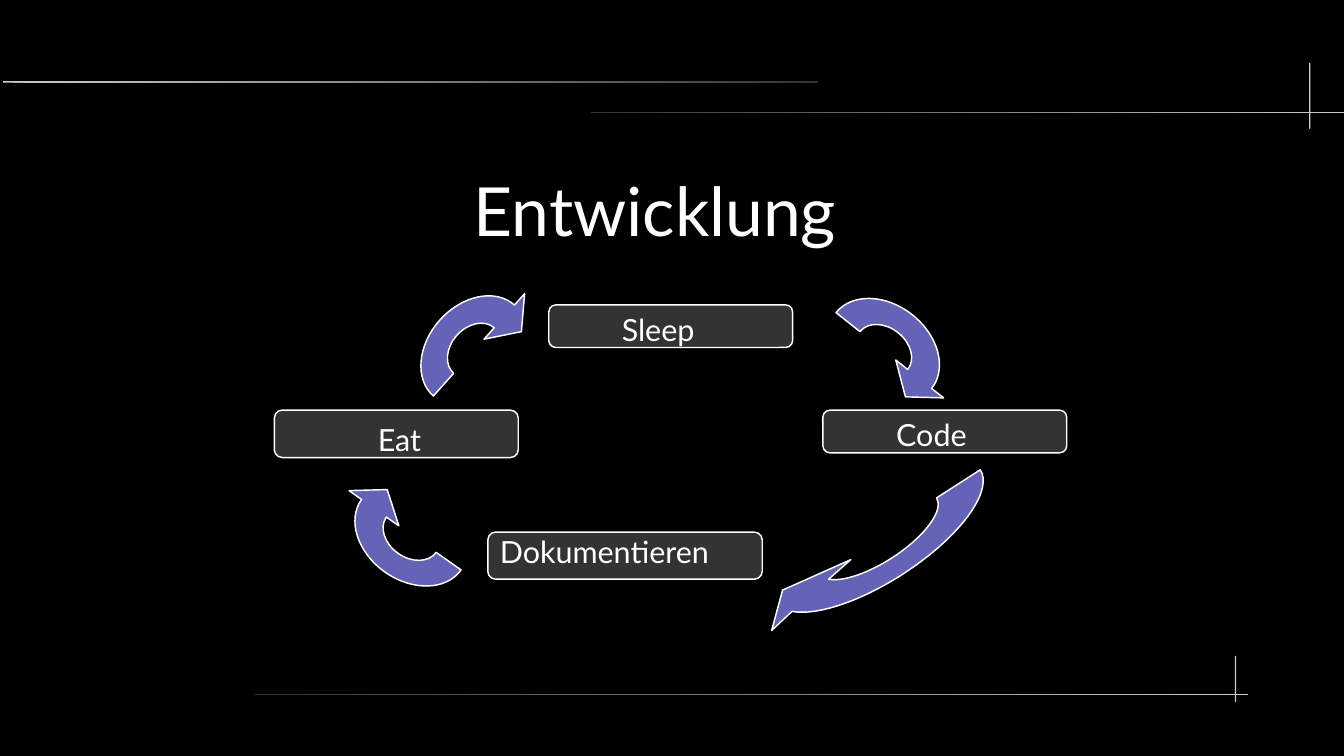
from math import cos, radians, sin

from lxml import etree
from pptx import Presentation
from pptx.dml.color import RGBColor
from pptx.enum.shapes import MSO_SHAPE
from pptx.enum.text import MSO_ANCHOR, MSO_AUTO_SIZE, PP_ALIGN
from pptx.oxml.ns import qn
from pptx.util import Pt

ROUNDED = MSO_SHAPE.ROUNDED_RECTANGLE
MIDDLE = MSO_ANCHOR.MIDDLE
GROW = MSO_AUTO_SIZE.SHAPE_TO_FIT_TEXT
CENTER, LEFT = PP_ALIGN.CENTER, PP_ALIGN.LEFT

BLACK = RGBColor(0x00, 0x00, 0x00)
WHITE = RGBColor(0xFF, 0xFF, 0xFF)
DARK = RGBColor(0x33, 0x33, 0x33)
LIGHT = RGBColor(0xCC, 0xCC, 0xCC)
VIOLET = RGBColor(0x65, 0x63, 0xB7)

FONT = "Lato"
WIDTH, HEIGHT = 793.44, 446.4
CURVE_STARTS = (0, 3, 7, 10)

RULES = [
    (1.5, 47.8, 481.7, 1, LIGHT, DARK),
    (349, 66, 447.1, 0.7, DARK, LIGHT),
    (772.9, 37.2, 0.7, 38.9, LIGHT, LIGHT),
    (149.8, 409.7, 587.2, 0.6, DARK, LIGHT),
    (729, 387.2, 0.7, 27.4, LIGHT, LIGHT),
]

STEPS = [
    ("Sleep", (162, 0, 144, 25.2), (198, 0, 90, 28.8)),
    ("Code", (323.8, 62.2, 144, 25.2), (360, 62, 90, 28.8)),
    ("Eat", (0, 62.2, 144, 28), (54, 64.8, 108, 28.8)),
    ("Dokumentieren", (126, 134.2, 162, 27.8), (126, 131, 162, 49)),
]

SHORT_ARROW = [
    (18, 0), (18, -7.46), (9.94, -13.5), (0, -13.5),
    (-9.94, -13.5), (-18, -7.46), (-18, 0),
    (-36, 0), (-36, -14.9), (-19.9, -27), (0, -27),
    (19.9, -27), (36, -14.9), (36, 0),
    (45, 0), (27, 13.5), (9, 0),
]
LONG_ARROW = [
    (38.3, -5.8), (30.9, -12.7), (11.5, -16.6), (-7.9, -15.2),
    (-27.3, -13.8), (-41.3, -7.4), (-41.3, 0),
    (-72, 0), (-72, -12.9), (-47.6, -24.1), (-13.8, -26.5),
    (20.1, -29), (53.8, -22.1), (66.7, -10.1),
    (82.9, -13), (64.6, 3.5), (21, -3.2),
]
ARROWS = [
    (SHORT_ARROW, 359.8, 27, 38.4),
    (LONG_ARROW, 356.2, 136.4, 147.2),
    (SHORT_ARROW, 117.8, 27, 311.7),
    (SHORT_ARROW, 80.8, 135.7, 215.3),
]


def add_rounded(slide, left, top, width, height):
    rounded = slide.shapes.add_shape(ROUNDED, Pt(left), Pt(top), Pt(width), Pt(height))
    rounded.shadow.inherit = False
    return rounded


def paint(shape, color):
    shape.shadow.inherit = False
    shape.fill.solid()
    shape.fill.fore_color.rgb = color
    shape.line.color.rgb = WHITE
    shape.line.width = Pt(0.85)


def add_text(slide, box, text, size, align):
    label = slide.shapes.add_textbox(*map(Pt, box))
    frame = label.text_frame
    frame.word_wrap = True
    frame.text = text
    paragraph = frame.paragraphs[0]
    paragraph.alignment = align
    font = paragraph.runs[0].font
    font.name, font.size, font.color.rgb = FONT, Pt(size), WHITE
    return frame


def bend(arrow):
    segments = list(arrow.element.iter(qn("a:lnTo")))
    for first in CURVE_STARTS:
        curve = etree.Element(qn("a:cubicBezTo"))
        segments[first].addprevious(curve)
        for segment in segments[first:first + 3]:
            curve.append(segment[0])
            segment.getparent().remove(segment)


def add_arrow(slide, outline, center_x, center_y, degrees):
    xs, ys = zip(*outline)
    mid_x, mid_y = (min(xs) + max(xs)) / 2, (min(ys) + max(ys)) / 2
    c, s = cos(radians(degrees)), sin(radians(degrees))
    shift_x = center_x + mid_x * c - mid_y * s - mid_x
    shift_y = center_y + mid_x * s + mid_y * c - mid_y
    points = [(Pt(x + shift_x), Pt(y + shift_y)) for x, y in outline]
    builder = slide.shapes.build_freeform(*points[0])
    builder.add_line_segments(points[1:], close=True)
    arrow = builder.convert_to_shape()
    bend(arrow)
    arrow.rotation = degrees
    paint(arrow, VIOLET)


def draw_rules(slide, left, top):
    for x, y, width, height, start, end in RULES:
        rule = add_rounded(slide, left + x, top + y, width, height)
        rule.adjustments[0] = 0.5
        rule.line.fill.background()
        if start == end:
            rule.fill.solid()
            rule.fill.fore_color.rgb = start
            continue
        rule.fill.gradient()
        rule.fill.gradient_angle = 0
        for stop, color in zip(rule.fill.gradient_stops, (start, end)):
            stop.color.rgb = color


def draw_title(slide, left, top, width, height):
    frame = add_text(slide, (left, top, width, height), "Entwicklung", 40, CENTER)
    frame.vertical_anchor = MIDDLE
    frame.margin_left = frame.margin_right = 0
    frame.margin_top = frame.margin_bottom = 0


def draw_cycle(slide, left, top):
    for name, (x, y, width, height), (text_x, text_y, *text_size) in STEPS:
        paint(add_rounded(slide, left + x, top + y, width, height), DARK)
        frame = add_text(slide, (left + text_x, top + text_y, *text_size), name, 18, LEFT)
        frame.auto_size = GROW
    for outline, x, y, degrees in ARROWS:
        add_arrow(slide, outline, left + x, top + y, degrees)


def main():
    deck = Presentation()
    deck.slide_width, deck.slide_height = Pt(WIDTH), Pt(HEIGHT)
    slide = deck.slides.add_slide(deck.slide_layouts[6])
    slide.background.fill.solid()
    slide.background.fill.fore_color.rgb = BLACK
    draw_rules(slide, 0, 0)
    draw_title(slide, 11.2, 5.4, 751, 236.9)
    draw_cycle(slide, 162, 180)
    deck.save("out.pptx")


if __name__ == "__main__":
    main()
